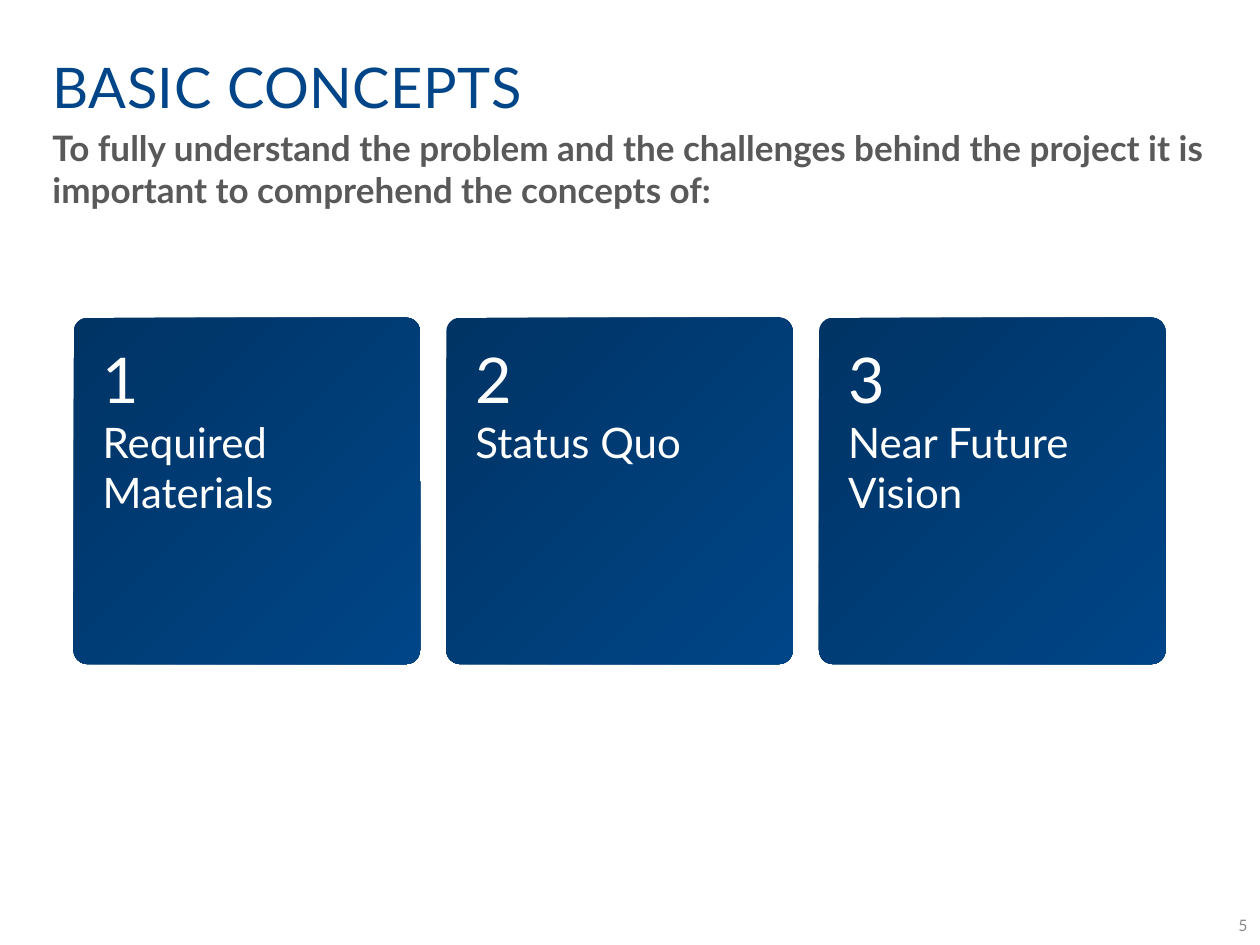
from lxml import etree
from pptx import Presentation
from pptx import util as u
from pptx.dml.color import RGBColor
from pptx.enum import shapes, text
from pptx.oxml.ns import qn

COLS, ROWS = 24, 18


def rgb(hex_code):
    return RGBColor.from_string(hex_code)


class Deck:
    font, blue, navy = "Lato", "004587", "003465"
    white, body_grey, page_grey = "FFFFFF", "595959", "8C8C8C"

    def __init__(self):
        self.prs = Presentation()
        self.prs.slide_width, self.prs.slide_height = u.Inches(10), u.Inches(7.5)
        self.s = self.prs.slides.add_slide(self.prs.slide_layouts[1])

    def box(self, col, row, cols, rows):
        w, h = self.prs.slide_width / COLS, self.prs.slide_height / ROWS
        return int(col * w), int(row * h), int(cols * w), int(rows * h)

    def frame(self, sp, insets, align=text.PP_ALIGN.LEFT,
              anchor=text.MSO_ANCHOR.TOP):
        """Set up the text frame and return its first paragraph."""
        tf = sp.text_frame
        tf.word_wrap = True
        tf.auto_size = text.MSO_AUTO_SIZE.NONE
        tf.vertical_anchor = anchor
        (tf.margin_left, tf.margin_top,
         tf.margin_right, tf.margin_bottom) = map(u.Inches, insets)
        p = tf.paragraphs[0]
        p.alignment = align
        p.space_before = u.Pt(0)
        return p

    def run(self, p, words, size, color, bold=False):
        r = p.add_run()
        r.text = words
        r.font.name, r.font.size, r.font.bold = self.font, u.Pt(size), bold
        r.font.color.rgb = rgb(color)
        return r

    def placeholder(self, index, place):
        sp = self.s.placeholders[index]
        sp.left, sp.top, sp.width, sp.height = self.box(*place)
        return self.frame(sp, (0, 0, 0, 0))

    def title(self, words, place):
        r = self.run(self.placeholder(0, place), words, 32, self.blue)
        r.font._element.set("spc", "30")

    def body(self, words, place):
        p = self.placeholder(1, place)
        pPr = p._p.get_or_add_pPr()
        pPr.set("marL", "0")
        pPr.set("indent", "0")
        etree.SubElement(pPr, qn("a:buNone"))
        self.run(p, words, 20, self.body_grey, bold=True)

    def card(self, number, label, place):
        sp = self.s.shapes.add_shape(
            shapes.MSO_SHAPE.ROUNDED_RECTANGLE, *self.box(*place))
        sp.adjustments[0] = 0.04
        sp.shadow.inherit = False
        sp.line.fill.background()
        self.corner_gradient(sp)
        p = self.frame(sp, (0.2, 0.15, 0.2, 0.15))
        self.run(p, str(number), 36, self.white)
        p.add_line_break()
        self.run(p, label, 24, self.white)

    def corner_gradient(self, sp):
        """Radial gradient centred on the bottom right corner."""
        sp.fill.gradient()
        for stop, color, at in zip(sp.fill.gradient_stops,
                                   (self.blue, self.navy), (0, 1)):
            stop.color.rgb, stop.position = rgb(color), at
        grad = sp._element.spPr.find(qn("a:gradFill"))
        grad.remove(grad.find(qn("a:lin")))
        radial = etree.SubElement(grad, qn("a:path"), path="circle")
        etree.SubElement(radial, qn("a:fillToRect"), l="100000", t="100000")

    def page_number(self, number, place):
        sp = self.s.shapes.add_textbox(*self.box(*place))
        p = self.frame(sp, (0, 0.05, 0.1, 0.05), text.PP_ALIGN.RIGHT,
                       text.MSO_ANCHOR.MIDDLE)
        self.run(p, str(number), 9, self.page_grey)


def main():
    deck = Deck()

    # Heading and introduction
    deck.title("BASIC CONCEPTS", (1, 1, 22, 1.4))
    deck.body("To fully understand the problem and the challenges behind the "
              "project it is important to comprehend the concepts of:",
              (1, 2.4, 22, 2))

    # Concept cards
    side, gap = 6.6, 0.5
    concepts = ("Required Materials", "Status Quo", "Near Future Vision")
    for i, label in enumerate(concepts):
        deck.card(i + 1, label, (1.4 + i * (side + gap), 6.05, side, side))

    # Footer
    deck.page_number(5, (23.2, 17.23, 0.8, 0.77))
    deck.prs.save("out.pptx")


if __name__ == "__main__":
    main()
